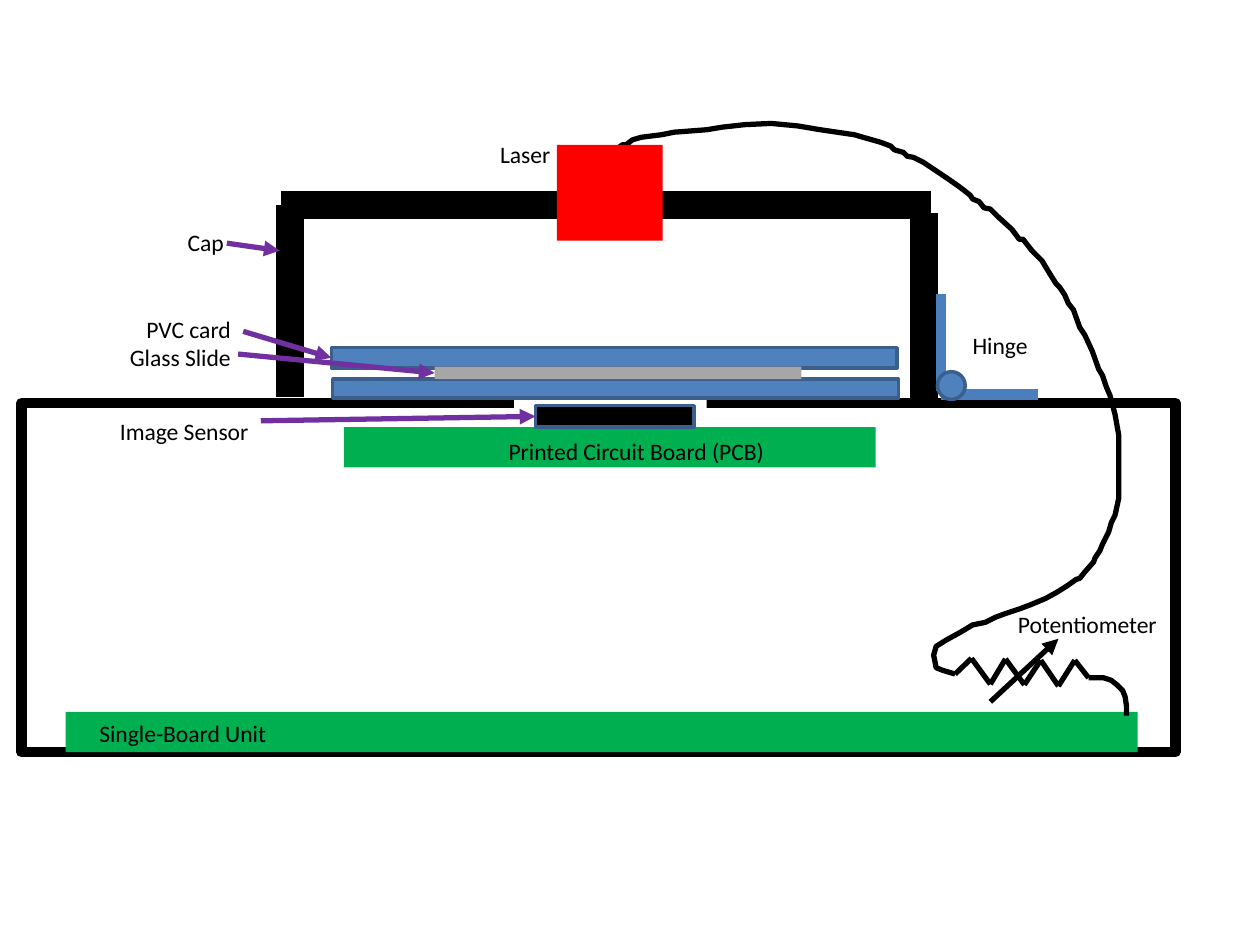
import itertools

import pptx
import pptx.dml.color
import pptx.enum.shapes
import pptx.enum.text
import pptx.oxml
import pptx.oxml.ns
import pptx.util

COLS, ROWS = 100, 75
WIDTH, HEIGHT = pptx.util.Inches(10), pptx.util.Inches(7.5)
COLORS = {
    "black": "000000", "white": "FFFFFF", "board": "00B050", "laser": "FF0000",
    "card": "4F81BD", "card_edge": "3A5F8C", "hinge": "4B7EBC",
    "glass": "A6A6A6", "pointer": "7030A0",
}
FONT, FONT_SIZE = "Calibri", 13.5
SHAPE = pptx.enum.shapes.MSO_SHAPE
ALIGN = pptx.enum.text.PP_ALIGN
LEFT_SIDE = 1

LASER_WIRE = [
    (48.7, 12), (49.4, 11.5), (49.7, 11.5), (50.2, 11.1), (50.9, 10.9), (52.5, 10.7),
    (53.5, 10.5), (56.1, 10.3), (57.3, 10.1), (59.1, 9.9), (61.2, 9.8), (63.3, 10),
    (65.1, 10.3), (67.8, 10.7), (69.9, 11.3), (70.7, 11.6), (71, 11.9), (71.7, 12.1),
    (72, 12.4), (72.5, 12.5), (73.3, 12.9), (74.2, 13.5), (75.1, 14.1), (76.1, 14.8),
    (76.5, 15.1), (77, 15.5), (77.2, 15.8), (77.7, 16), (78.1, 16.5), (78.6, 16.6),
    (79.2, 17.2), (80.3, 18.2), (80.9, 19), (81.2, 19), (81.9, 19.9), (82.7, 20.7),
    (83.3, 21.7), (83.8, 22.5), (84.1, 22.8), (84.5, 23.4), (84.8, 24.1), (85.2, 24.6),
    (85.7, 26), (86.1, 26.6), (86.7, 27.9), (87.2, 29.3), (87.5, 29.8), (87.8, 30.7),
    (88.1, 31.4), (88.5, 32.9), (88.8, 34.6), (88.8, 39.5), (88.5, 40.9), (88.2, 41.5),
    (88, 42.2), (87.5, 43.2), (87.3, 43.7), (86.9, 44.3), (86.8, 44.6), (86.1, 45.4),
    (85.7, 45.9), (85.4, 46), (84.7, 46.5), (83.9, 47), (83, 47.5), (81.8, 48),
    (81, 48.3), (79.8, 48.7), (79, 49), (78.2, 49.4), (77.2, 49.6), (76.2, 50.2),
    (75.1, 50.8), (74.3, 51.3), (74.1, 52), (74.3, 53), (74.8, 53.2), (75.8, 53.5),
]
BOARD_WIRE = [(86.4, 53.8), (87.6, 53.8), (88.2, 54), (88.7, 54.4), (89.1, 54.8),
              (89.3, 55.3), (89.4, 56), (89.4, 56.8)]
RESISTOR = [(75.8, 53.5), (77.1, 52.25), (78.6, 54.3), (79.8, 52.3), (81.3, 54.35),
            (82.6, 52.4), (84, 54.45), (85.3, 52.4), (86.4, 53.8)]
CAP_SIDES = [((23, 31.5), (23, 16.3)), ((73.3, 32), (73.3, 16.9)),
             ((22.3, 16.3), (73.9, 16.3))]
HINGE_ARMS = [((74.7, 23.3), (74.7, 31)), ((82.4, 31.3), (74.7, 31.3))]
LABELS = [
    (["PVC card", "Glass Slide"], (9.1, 24.5, 10.2, 5.6), ALIGN.RIGHT, False),
    (["Potentiometer"], (79.8, 47.9, 15.9, 3.3), ALIGN.LEFT, True),
    (["Cap"], (13.9, 17.6, 5.8, 3.3), ALIGN.LEFT, True),
    (["Hinge"], (76.2, 25.8, 6.5, 3.3), ALIGN.LEFT, False),
    (["Laser"], (38.7, 10.6, 6.1, 3.3), ALIGN.LEFT, False),
    (["Image Sensor"], (8.3, 32.6, 12.4, 3.3), ALIGN.RIGHT, False),
    (["Single-Board Unit"], (6.5, 56.6, 15.6, 3.3), ALIGN.RIGHT, False),
    (["Printed Circuit Board (PCB)"], (37.3, 34.2, 26.4, 3.3), ALIGN.CENTER, True),
]


def col(x):
    return round(WIDTH * x / COLS)


def row(y):
    return round(HEIGHT * y / ROWS)


def place(box):
    x, y, w, h = box
    return col(x), row(y), col(w), row(h)


def rgb(name):
    return pptx.dml.color.RGBColor.from_string(COLORS[name])


def paint(sp, fill=None, line=None, width=0):
    sp.shadow.inherit = False
    if fill:
        sp.fill.solid()
        sp.fill.fore_color.rgb = rgb(fill)
    else:
        sp.fill.background()
    if line:
        sp.line.color.rgb = rgb(line)
        sp.line.width = pptx.util.Pt(width)
    else:
        sp.line.fill.background()


def add_block(shapes, box, fill=None, line=None, width=2, kind=SHAPE.RECTANGLE):
    sp = shapes.add_shape(kind, *place(box))
    paint(sp, fill, line, width)
    return sp


def add_line(shapes, start, end, color, width, arrow=False):
    c = shapes.add_connector(pptx.enum.shapes.MSO_CONNECTOR.STRAIGHT,
                             col(start[0]), row(start[1]), col(end[0]), row(end[1]))
    c.line.color.rgb = rgb(color)
    c.line.width = pptx.util.Pt(width)
    if arrow:
        ln = c.line._get_or_add_ln()
        ln.append(pptx.oxml.parse_xml(
            f'<a:tailEnd {pptx.oxml.ns.nsdecls("a")} type="triangle"/>'))
    c._element.spPr.append(pptx.oxml.parse_xml(
        f'<a:effectLst {pptx.oxml.ns.nsdecls("a")}/>'))
    return c


def add_wire(shapes, points):
    start, *rest = [(col(x), row(y)) for x, y in points]
    fb = shapes.build_freeform(*start, scale=1.0)
    fb.add_line_segments(rest, close=False)
    paint(fb.convert_to_shape(), line="black", width=3)


def add_label(shapes, lines, box, align, wrap):
    tf = shapes.add_textbox(*place(box)).text_frame
    tf.text = "\n".join(lines)
    tf.word_wrap = wrap
    tf.auto_size = pptx.enum.text.MSO_AUTO_SIZE.SHAPE_TO_FIT_TEXT
    for p in tf.paragraphs:
        p.alignment = align
        for r in p.runs:
            r.font.name = FONT
            r.font.size = pptx.util.Pt(FONT_SIZE)
            r.font.color.rgb = rgb("black")


def add_housing(shapes):
    add_block(shapes, (27.3, 33.9, 42.2, 3.2), "board")
    add_block(shapes, (1.7, 32, 91.6, 27.7), line="black", width=6)
    for start, end in CAP_SIDES:
        add_line(shapes, start, end, "black", 16)
    add_block(shapes, (40.8, 31.1, 15.3, 2.4), "white")
    add_block(shapes, (5.2, 56.5, 85.1, 3.2), "board")


def add_hinge(shapes):
    for start, end in HINGE_ARMS:
        add_line(shapes, start, end, "hinge", 6)
    add_block(shapes, (74.4, 29.5, 2.2, 2.2), "card", "card_edge", kind=SHAPE.OVAL)


def add_sample(shapes):
    grp = shapes.add_group_shape().shapes
    card = add_block(grp, (26.3, 27.6, 44.9, 1.6), "card", "card_edge")
    add_block(grp, (26.4, 30.1, 44.9, 1.5), "card", "card_edge")
    glass = add_block(grp, (34.5, 29.1, 29.1, 1), "glass")
    sensor = add_block(shapes, (42.5, 32.2, 12.6, 1.7), "black", "card_edge")
    pointers = [((19.3, 26.3), (26.3, 28.4), card),
                ((18.9, 28.1), (34.5, 29.6), glass),
                ((20.7, 33.4), (42.5, 33.1), sensor)]
    for start, end, target in pointers:
        c = add_line(shapes, start, end, "pointer", 3, arrow=True)
        c.end_connect(target, LEFT_SIDE)


def add_potentiometer(shapes):
    for start, end in itertools.pairwise(RESISTOR):
        add_line(shapes, start, end, "black", 3)
    add_line(shapes, (78.6, 55.7), (84, 50.7), "black", 3, arrow=True)


def main():
    prs = pptx.Presentation()
    prs.slide_width, prs.slide_height = WIDTH, HEIGHT
    s = prs.slides.add_slide(prs.slide_layouts[6])
    add_housing(s.shapes)
    for wire in (LASER_WIRE, BOARD_WIRE):
        add_wire(s.shapes, wire)
    add_block(s.shapes, (44.2, 11.5, 8.4, 7.6), "laser")
    add_hinge(s.shapes)
    add_sample(s.shapes)
    for label in LABELS:
        add_label(s.shapes, *label)
    add_line(s.shapes, (18, 19.3), (22.2, 19.9), "pointer", 3, arrow=True)
    add_potentiometer(s.shapes)
    prs.save("out.pptx")


if __name__ == "__main__":
    main()
